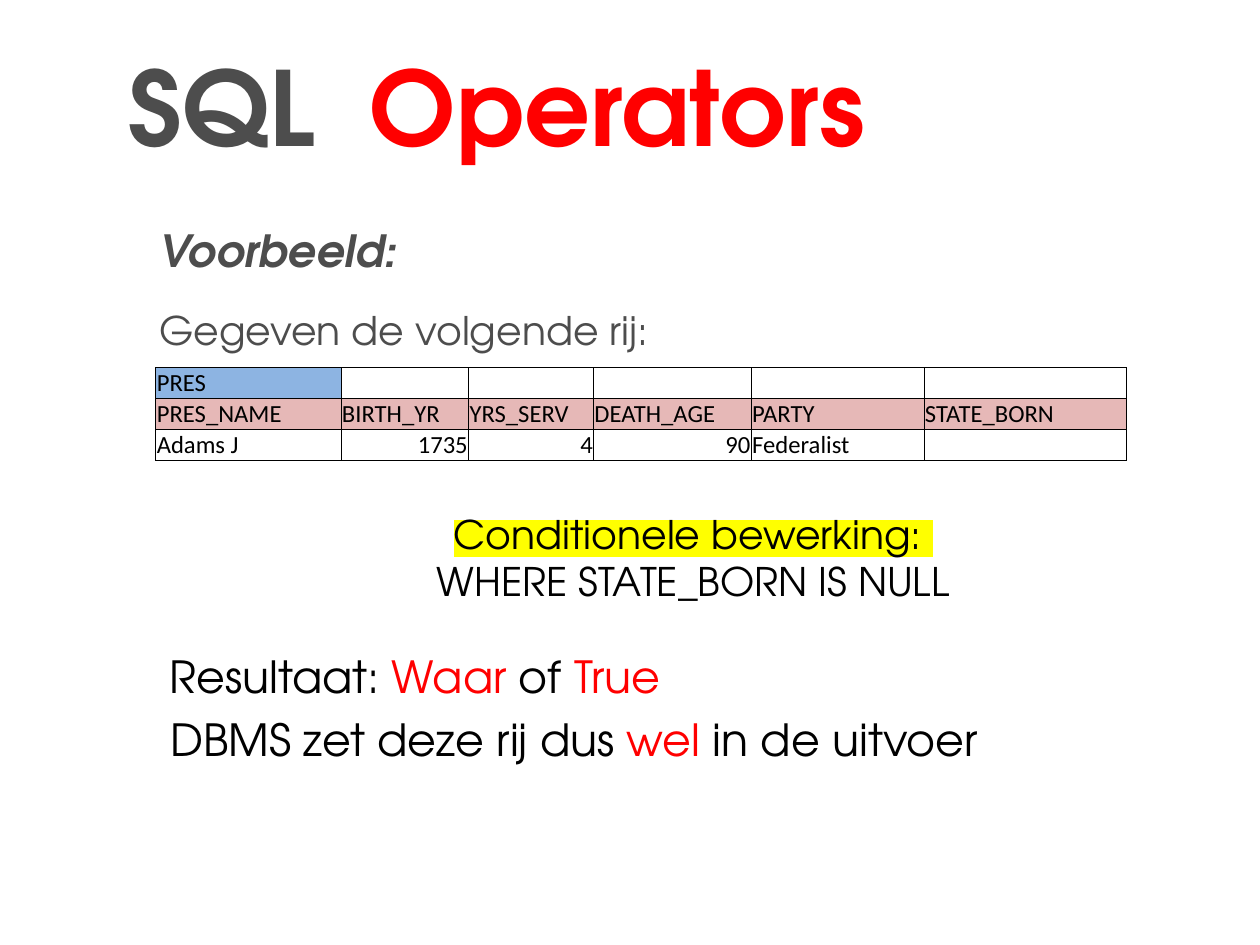
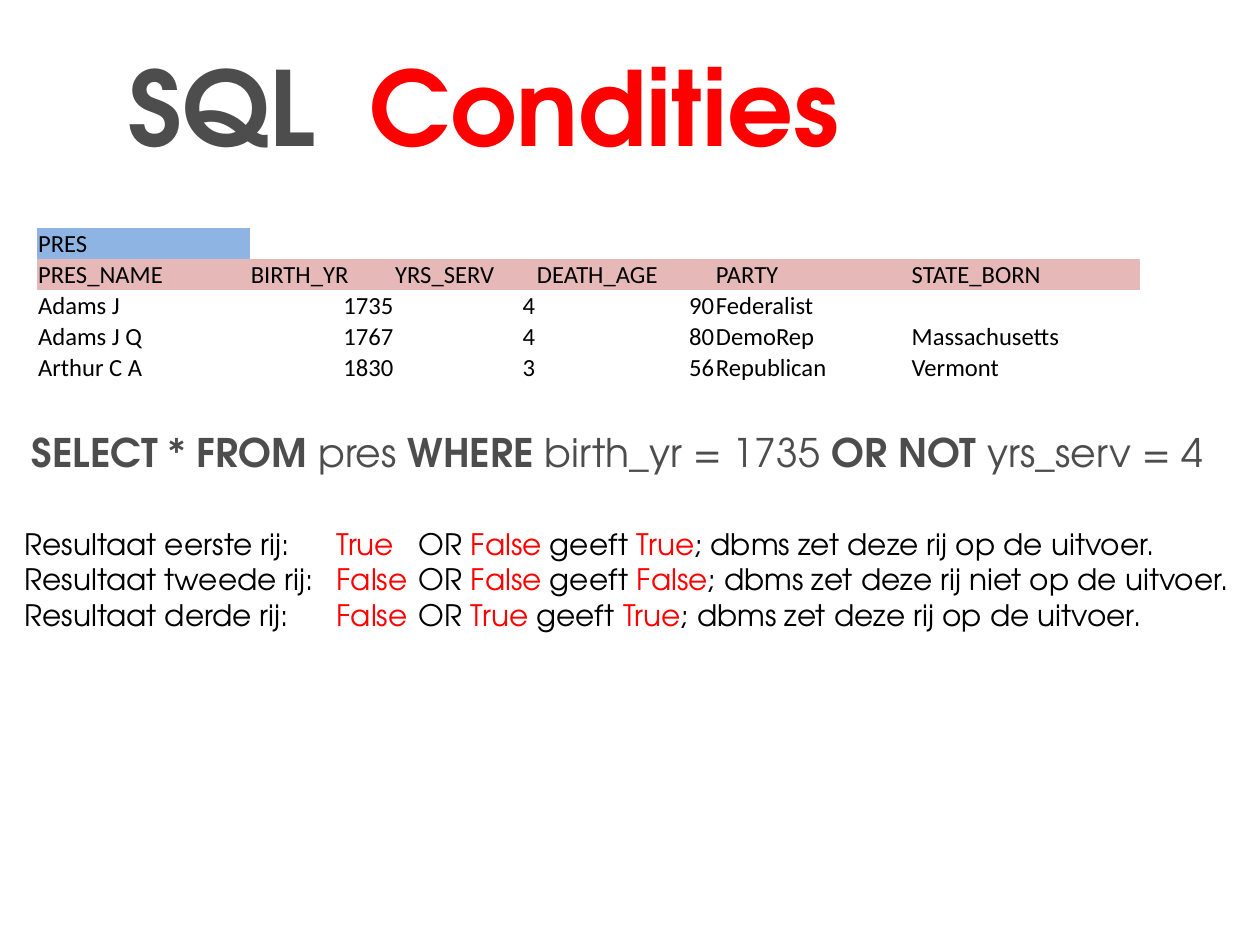
from lxml import etree
from pptx import Presentation
from pptx.dml.color import RGBColor
from pptx.enum import text as tx
from pptx.oxml import ns
from pptx.util import Inches, Pt

GREY = RGBColor(0x4D, 0x4D, 0x4D)
RED = RGBColor(0xFF, 0x00, 0x00)
BLACK = RGBColor(0x00, 0x00, 0x00)
YELLOW = RGBColor(0xFF, 0xFF, 0x00)
TABLE_BLUE = RGBColor(0x8D, 0xB4, 0xE2)
TABLE_PINK = RGBColor(0xE6, 0xB8, 0xB7)

FONT = "TeX Gyre Adventor"
TABLE_FONT = "Calibri"
ALIGN = tx.PP_ALIGN
ANCHOR = tx.MSO_ANCHOR

# Boxes are left, top, width, height in inches
TITLE_BOX = (1.39, 0.28, 11.44, 1.82)
ROW_HEIGHT = 0.35
BODY_INSET = (0.06, 0.06)

HEADINGS = ["PRES_NAME", "BIRTH_YR", "YRS_SERV", "DEATH_AGE", "PARTY", "STATE_BORN"]
PRESIDENTS = [
    ["Adams J", "1735", "4", "90", "Federalist", ""],
    ["Adams J Q", "1767", "4", "80", "DemoRep", "Massachusetts"],
    ["Arthur C A", "1830", "3", "56", "Republican", "Vermont"],
]


def red(words):
    return words, {"color": RED}


def bold(words):
    return words, {"bold": True}


def add_run(paragraph, words, size, color, font=FONT, bold=False, italic=False, highlight=None):
    run = paragraph.add_run()
    run.text = words
    run.font.size = Pt(size)
    run.font.bold = bold
    run.font.italic = italic
    run.font.color.rgb = color
    run.font.name = font
    if highlight is not None:
        mark = etree.Element(ns.qn("a:highlight"))
        etree.SubElement(mark, ns.qn("a:srgbClr")).set("val", str(highlight))
        run.font._element.find(ns.qn("a:solidFill")).addnext(mark)


def add_text(slide, box, paragraphs, align=ALIGN.LEFT, anchor=ANCHOR.TOP, inset=(0.1, 0.05),
             wrap=True, space_before=0, indent=0, tabs=(), **style):
    """Each paragraph is a list of runs: plain strings or (words, format) pairs."""
    frame = slide.shapes.add_textbox(*map(Inches, box)).text_frame
    frame.word_wrap = wrap
    frame.vertical_anchor = anchor
    frame.margin_left = frame.margin_right = Inches(inset[0])
    frame.margin_top = frame.margin_bottom = Inches(inset[1])
    for number, runs in enumerate(paragraphs):
        paragraph = frame.add_paragraph() if number else frame.paragraphs[0]
        properties = paragraph._p.get_or_add_pPr()
        if indent:
            properties.set("marL", str(Inches(indent)))
            properties.set("indent", "0")
        if tabs:
            stops = etree.SubElement(properties, ns.qn("a:tabLst"))
            for position in tabs:
                etree.SubElement(stops, ns.qn("a:tab"), pos=str(Inches(position)), algn="l")
        paragraph.alignment = align
        if number and space_before:
            paragraph.space_before = Pt(space_before)
        for run in runs:
            words, changes = (run, {}) if isinstance(run, str) else run
            add_run(paragraph, words, **{**style, **changes})


def set_borders(cell, visible):
    properties = cell._tc.get_or_add_tcPr()
    for place, side in enumerate(("lnL", "lnR", "lnT", "lnB")):
        line = etree.Element(ns.qn("a:" + side), w=str(Pt(1)))
        if visible:
            fill = etree.SubElement(line, ns.qn("a:solidFill"))
            etree.SubElement(fill, ns.qn("a:srgbClr")).set("val", str(BLACK))
        else:
            etree.SubElement(line, ns.qn("a:noFill"))
        properties.insert(place, line)


def add_pres_table(slide, left, top, widths, presidents, bordered):
    rows = [["PRES"] + [""] * (len(HEADINGS) - 1), HEADINGS] + presidents
    table = slide.shapes.add_table(
        len(rows), len(widths), Inches(left), Inches(top),
        Inches(sum(widths)), Inches(ROW_HEIGHT * len(rows))).table
    table.first_row = table.horz_banding = False
    for column, width in zip(table.columns, widths):
        column.width = Inches(width)
    for r, values in enumerate(rows):
        table.rows[r].height = Inches(ROW_HEIGHT)
        for c, value in enumerate(values):
            cell = table.cell(r, c)
            cell.margin_left = cell.margin_right = cell.margin_top = Inches(0.01)
            cell.margin_bottom = 0
            cell.vertical_anchor = ANCHOR.BOTTOM
            if r == 1 or (r, c) == (0, 0):
                cell.fill.solid()
                cell.fill.fore_color.rgb = TABLE_PINK if r else TABLE_BLUE
            else:
                cell.fill.background()
            set_borders(cell, bordered)
            paragraph = cell.text_frame.paragraphs[0]
            paragraph.alignment = ALIGN.RIGHT if value.isdigit() else ALIGN.LEFT
            if value:
                add_run(paragraph, value, 20, BLACK, font=TABLE_FONT)


def add_titled_slide(prs, topic):
    slide = prs.slides.add_slide(prs.slide_layouts[6])
    add_text(slide, TITLE_BOX, [["SQL\t", red(topic)]], anchor=ANCHOR.MIDDLE,
             inset=BODY_INSET, tabs=[2.72], size=84, color=GREY, bold=True)
    return slide


def build_operators(prs):
    slide = add_titled_slide(prs, "Operators")
    # Example and its row
    add_text(slide, (1.39, 2.46, 11.44, 1.77),
             [[("Voorbeeld:", {"size": 36, "bold": True, "italic": True})],
              ["Gegeven de volgende rij:"]],
             inset=BODY_INSET, indent=0.35, space_before=24, size=32, color=GREY)
    add_pres_table(slide, 1.76, 4.15, [2.09, 1.44, 1.41, 1.78, 1.95, 2.28],
                   PRESIDENTS[:1], bordered=True)
    # Condition
    add_text(slide, (1.76, 5.71, 12.13, 1.18),
             [[("Conditionele bewerking: ", {"highlight": YELLOW})],
              ["WHERE STATE_BORN IS NULL"]],
             align=ALIGN.CENTER, size=32, color=BLACK)
    # Outcome lines
    outcomes = [(5.85, ["Resultaat: ", red("Waar"), " of ", red("True")]),
                (9.44, ["DBMS zet deze rij dus ", red("wel"), " in de uitvoer"])]
    for number, (width, runs) in enumerate(outcomes):
        add_text(slide, (1.76, 7.28 + 0.71 * number, width, 0.71), [runs],
                 align=ALIGN.CENTER, wrap=False, size=36, color=BLACK)


def build_conditions(prs):
    slide = add_titled_slide(prs, "Condities")
    add_pres_table(slide, 0.42, 2.58, [2.4, 1.63, 1.6, 2.02, 2.21, 2.59],
                   PRESIDENTS, bordered=False)
    # Query
    add_text(slide, (0.3, 4.78, 13.88, 0.8),
             [[bold("SELECT"), " * ", bold("FROM"), " pres ", bold("WHERE "),
               "birth_yr = 1735", bold(" OR NOT "), "yrs_serv = 4"]],
             inset=BODY_INSET, size=32, color=GREY)
    # Result for each row
    results = [("eerste", "True", "False", "True", "op"),
               ("tweede", "False", "False", "False", "niet op"),
               ("derde", "False", "True", "True", "op")]
    add_text(slide, (0.18, 5.89, 14, 1.85),
             [[f"Resultaat {row} rij:\t", red(first), "\tOR ", red(second), " geeft ",
               red(outcome), f"; dbms zet deze rij {verdict} de uitvoer."]
              for row, first, second, outcome, verdict in results],
             tabs=[3.52, 4.45], size=24, color=BLACK)


def main():
    prs = Presentation()
    prs.slide_width, prs.slide_height = Inches(14.22), Inches(10.67)
    build_operators(prs)
    build_conditions(prs)
    prs.save("out.pptx")


if __name__ == "__main__":
    main()
